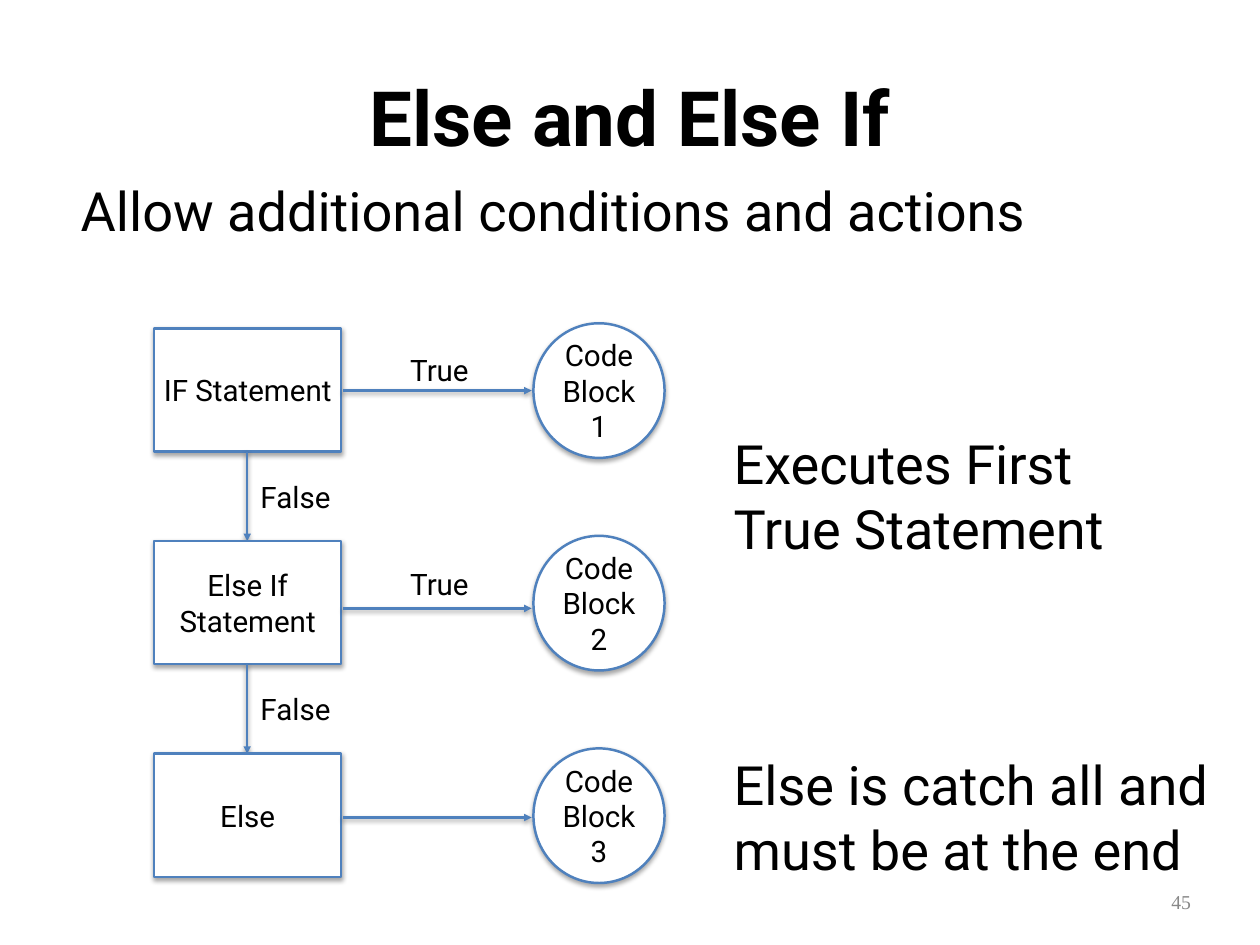
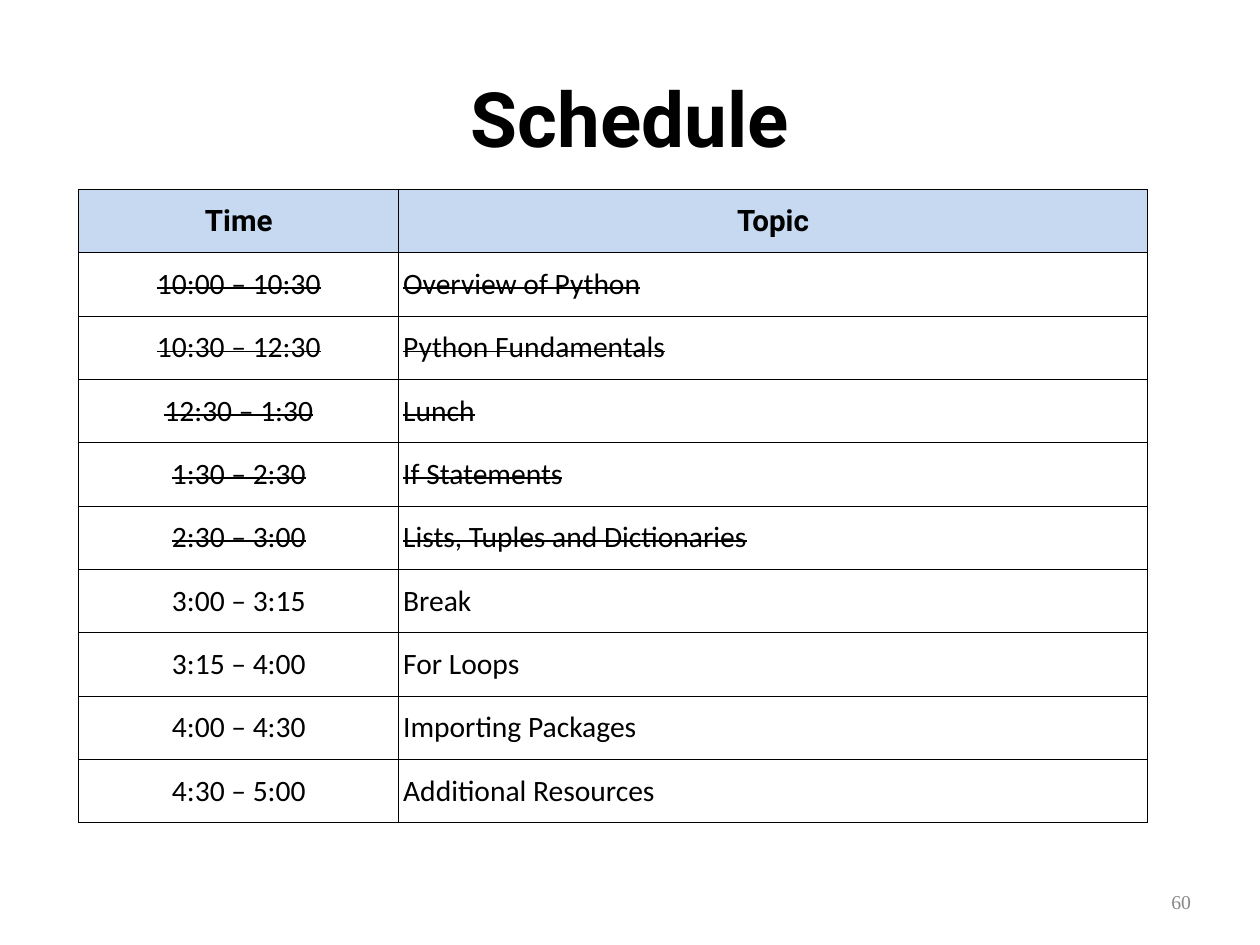
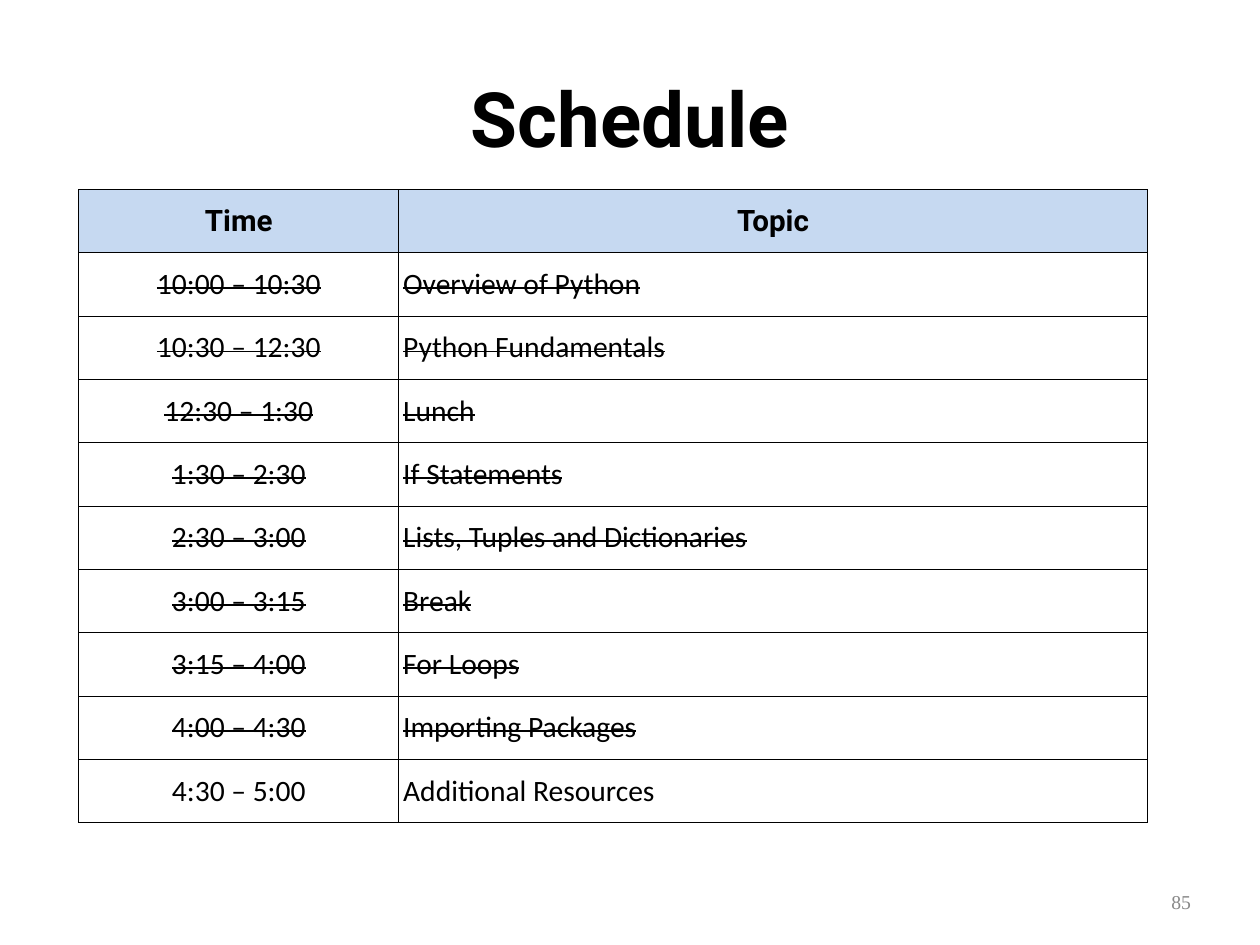
import pptx
import pptx.dml.color
import pptx.enum.shapes
import pptx.enum.text
import pptx.oxml
import pptx.oxml.ns
import pptx.util

EMU_PER_PX = 9144  # 100 px to the inch
SLIDE_SIZE = (1422, 1067)
COLORS = {"text": "000000", "number": "888888", "line": "4F81BD",
          "paper": "FFFFFF", "header": "C6D9F1", "shadow": "000000"}
HEADING_FONT, TABLE_FONT, NUMBER_FONT = "Roboto", "Calibri", "Times New Roman"
INSET, CELL_INSET = 7, 5
TITLE_BOX = (71, 43, 1280, 178)
NUMBER_BOX = (1019, 997, 332, 41)

FLOW = {
    "title": "Else and Else If",
    "title_box": (71, 14, 1280, 235),
    "number": "45",
    "lead": "Allow additional conditions and actions",
    "lead_box": (84, 193, 1280, 155),
    # condition, outcome, height of the arrow between them
    "steps": [("IF Statement", ["Code", "Block 1"], 441),
              ("Else If Statement", ["Code", "Block 2"], 687),
              ("Else", ["Code", "Block 3"], 923)],
    # text lines, box, size
    "labels": [(["True"], (456, 632, 83, 55), 24),
               (["True"], (456, 390, 83, 55), 24),
               (["False"], (287, 773, 97, 55), 24),
               (["False"], (287, 534, 97, 55), 24),
               (["Else is catch all and", "must be at the end"], (821, 841, 590, 161), 44),
               (["Executes First", "True Statement"], (821, 479, 437, 161), 44)],
}
CONDITION_LEFT, CONDITION_TOP, CONDITION_W, CONDITION_H = 174, 371, 211, 139
STEP_PITCH = 240
OUTCOME_LEFT, OUTCOME_W, OUTCOME_H = 602, 148, 152

SCHEDULE_HEADER = ("Time", "Topic")
SCHEDULE = [
    ("10:00 – 10:30", "Overview of Python"),
    ("10:30 – 12:30", "Python Fundamentals"),
    ("12:30 – 1:30", "Lunch"),
    ("1:30 – 2:30", "If Statements"),
    ("2:30 – 3:00", "Lists, Tuples and Dictionaries"),
    ("3:00 – 3:15", "Break"),
    ("3:15 – 4:00", "For Loops"),
    ("4:00 – 4:30", "Importing Packages"),
    ("4:30 – 5:00", "Additional Resources"),
]
SCHEDULE_SLIDES = [("60", 5), ("85", 8)]  # slide number, sessions done
SCHEDULE_BOX = (89, 214, 1206, 715)
SCHEDULE_COLUMNS = (361, 845)

ALIGN = pptx.enum.text.PP_ALIGN
ANCHOR = pptx.enum.text.MSO_ANCHOR
AUTO_SIZE = pptx.enum.text.MSO_AUTO_SIZE
SHAPE = pptx.enum.shapes.MSO_SHAPE


def px(length):
    return pptx.util.Emu(length * EMU_PER_PX)


def box_emu(box):
    return [px(length) for length in box]


def rgb(name):
    return pptx.dml.color.RGBColor.from_string(COLORS[name])


def xml(text):
    """Parse an element whose a: prefix is declared here."""
    return pptx.oxml.parse_xml(text.replace(" ", f" {pptx.oxml.ns.nsdecls('a')} ", 1))


def write(frame, lines, size, font=HEADING_FONT, color="text", bold=False,
          align=ALIGN.LEFT, strike=False):
    """Write one paragraph per line, one run in each."""
    for index, line in enumerate(lines):
        paragraph = frame.add_paragraph() if index else frame.paragraphs[0]
        paragraph.alignment = align
        run = paragraph.add_run()
        run.text = line
        run.font.size = pptx.util.Pt(size)
        run.font.name = font
        run.font.bold = bold
        run.font.color.rgb = rgb(color)
        if strike:
            run.font._element.set("strike", "sngStrike")


def set_frame(frame, anchor=ANCHOR.TOP, wrap=True, auto_size=AUTO_SIZE.NONE):
    frame.margin_left = frame.margin_right = px(INSET)
    frame.margin_top = frame.margin_bottom = px(INSET)
    frame.vertical_anchor = anchor
    frame.word_wrap = wrap
    frame.auto_size = auto_size
    return frame


def place(shape, box):
    shape.left, shape.top, shape.width, shape.height = box_emu(box)


def add_titled_slide(prs, layout, title, number, title_box=TITLE_BOX):
    slide = prs.slides.add_slide(prs.slide_layouts.get_by_name(layout))
    heading = slide.shapes.title
    place(heading, title_box)
    write(set_frame(heading.text_frame, ANCHOR.MIDDLE), [title], 62,
          bold=True, align=ALIGN.CENTER)
    page = slide.shapes.add_textbox(*box_emu(NUMBER_BOX))
    write(set_frame(page.text_frame, ANCHOR.MIDDLE), [number], 16,
          NUMBER_FONT, "number", align=ALIGN.RIGHT)
    return slide


def outline_with_shadow(shape, opacity):
    shape.line.color.rgb = rgb("line")
    shape.line.width = pptx.util.Pt(2)
    shape._element.spPr.append(xml(
        '<a:effectLst ><a:outerShdw blurRad="50800" dist="25400" dir="5400000" rotWithShape="0">'
        f'<a:srgbClr val="{COLORS["shadow"]}"><a:alpha val="{opacity * 1000}"/></a:srgbClr>'
        '</a:outerShdw></a:effectLst>'))


def add_node(slide, preset, box, lines):
    node = slide.shapes.add_shape(preset, *box_emu(box))
    node.fill.solid()
    node.fill.fore_color.rgb = rgb("paper")
    outline_with_shadow(node, 35)
    write(set_frame(node.text_frame, ANCHOR.MIDDLE), lines, 24, align=ALIGN.CENTER)


def add_arrow(slide, *ends):
    arrow = slide.shapes.add_connector(pptx.enum.shapes.MSO_CONNECTOR.STRAIGHT, *box_emu(ends))
    outline_with_shadow(arrow, 38)
    arrow.line._get_or_add_ln().append(xml('<a:tailEnd type="triangle"/>'))


def add_flow_slide(prs):
    slide = add_titled_slide(prs, "Title and Content", FLOW["title"], FLOW["number"],
                             FLOW["title_box"])
    lead = slide.placeholders[1]
    place(lead, FLOW["lead_box"])
    write(set_frame(lead.text_frame), [FLOW["lead"]], 44)
    lead_line = lead.text_frame.paragraphs[0]
    lead_line.space_before = pptx.util.Pt(7)
    lead_format = lead_line._p.get_or_add_pPr()
    lead_format.set("marL", "0")
    lead_format.set("indent", "0")
    lead_format.append(xml("<a:buNone />"))

    middle = CONDITION_LEFT + CONDITION_W // 2
    for index, (condition, outcome, arrow_y) in enumerate(FLOW["steps"]):
        top = CONDITION_TOP + index * STEP_PITCH
        bottom = top + CONDITION_H
        add_node(slide, SHAPE.RECTANGLE,
                 (CONDITION_LEFT, top, CONDITION_W, CONDITION_H), [condition])
        add_arrow(slide, CONDITION_LEFT + CONDITION_W + 2, arrow_y, OUTCOME_LEFT - 2, arrow_y)
        if index < len(FLOW["steps"]) - 1:
            add_arrow(slide, middle, bottom, middle, top + STEP_PITCH)
        outcome_top = top - (OUTCOME_H - CONDITION_H) // 2
        add_node(slide, SHAPE.OVAL,
                 (OUTCOME_LEFT, outcome_top, OUTCOME_W, OUTCOME_H), outcome)

    for lines, box, size in FLOW["labels"]:
        label = slide.shapes.add_textbox(*box_emu(box))
        write(set_frame(label.text_frame, wrap=False, auto_size=AUTO_SIZE.SHAPE_TO_FIT_TEXT),
              lines, size)


def format_cell(cell, fill):
    cell.margin_left = cell.margin_right = px(CELL_INSET)
    cell.margin_top = cell.margin_bottom = px(CELL_INSET)
    cell.vertical_anchor = ANCHOR.MIDDLE
    borders = cell._tc.get_or_add_tcPr()
    for side in "LRTB":
        borders.append(xml(
            f'<a:ln{side} w="12700"><a:solidFill><a:srgbClr val="{COLORS["text"]}"/>'
            f'</a:solidFill></a:ln{side}>'))
    if fill:
        cell.fill.solid()
        cell.fill.fore_color.rgb = rgb(fill)
    else:
        cell.fill.background()


def add_schedule_slide(prs, number, done):
    slide = add_titled_slide(prs, "Title Only", "Schedule", number)
    rows = [SCHEDULE_HEADER] + SCHEDULE
    table = slide.shapes.add_table(len(rows), len(SCHEDULE_COLUMNS),
                                   *box_emu(SCHEDULE_BOX)).table
    table.first_row = table.horz_banding = False
    for column, width in zip(table.columns, SCHEDULE_COLUMNS):
        column.width = px(width)
    for r, row in enumerate(rows):
        is_header = r == 0
        for c, text in enumerate(row):
            cell = table.cell(r, c)
            format_cell(cell, "header" if is_header else None)
            write(cell.text_frame, [text], 24,
                  font=HEADING_FONT if is_header else TABLE_FONT, bold=is_header,
                  align=ALIGN.CENTER if is_header or c == 0 else ALIGN.LEFT,
                  strike=1 <= r <= done)


def main():
    prs = pptx.Presentation()
    prs.slide_width, prs.slide_height = box_emu(SLIDE_SIZE)
    add_flow_slide(prs)
    for number, done in SCHEDULE_SLIDES:
        add_schedule_slide(prs, number, done)
    prs.save("out.pptx")


if __name__ == "__main__":
    main()
